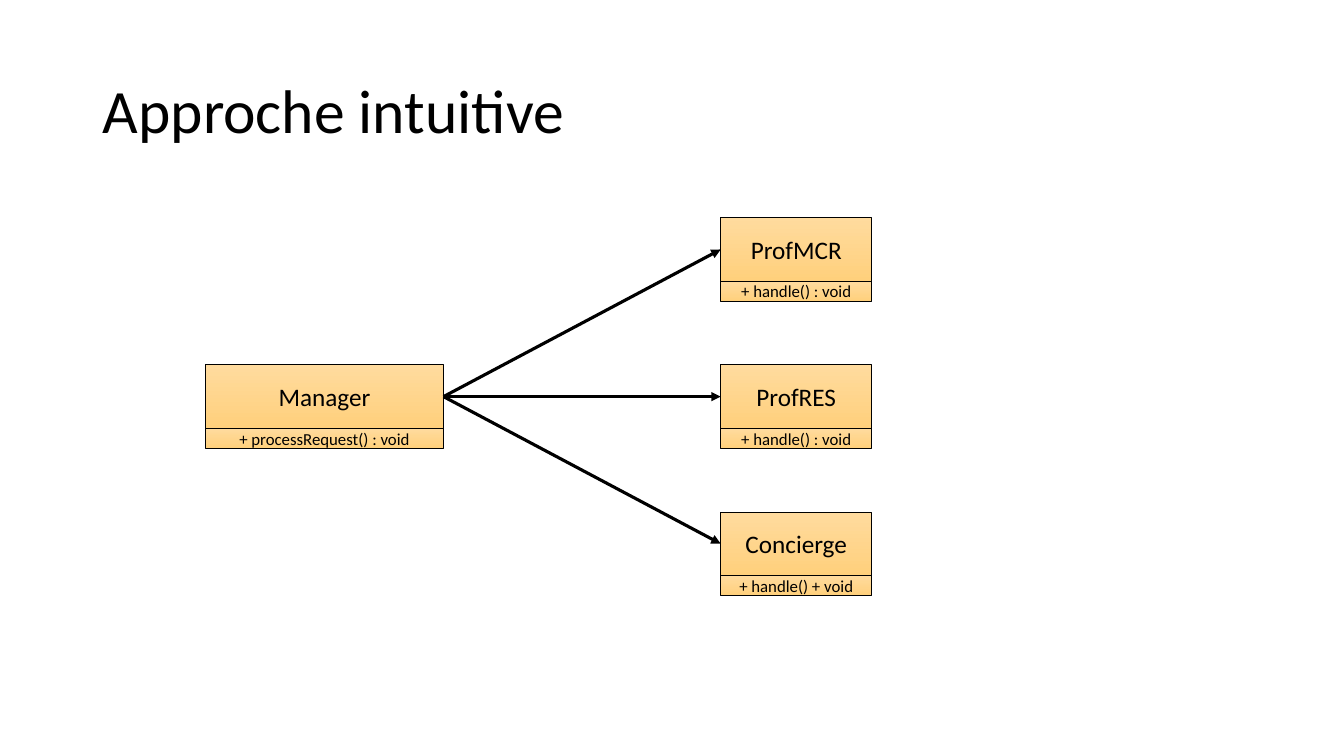
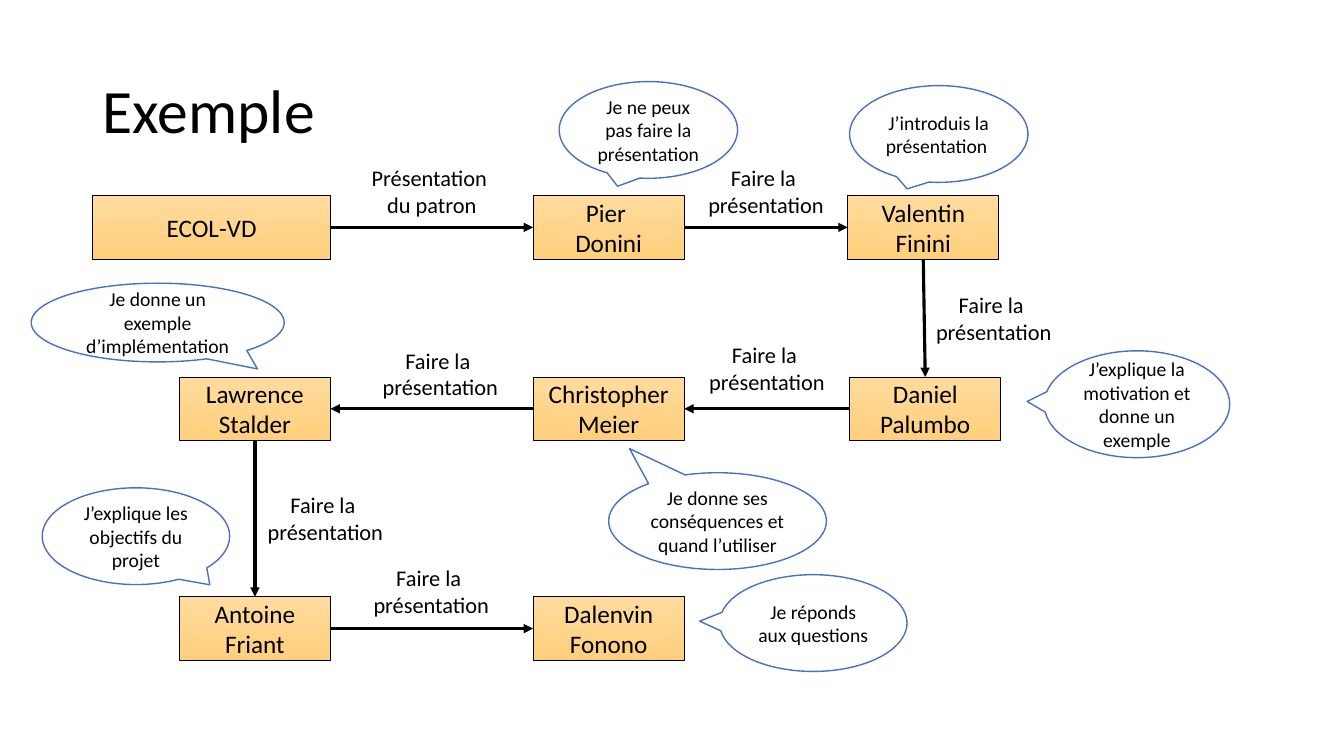
from typing import NamedTuple, Optional

from lxml import etree
from pptx import Presentation
from pptx.dml.color import RGBColor
from pptx.enum import shapes, text
from pptx.oxml import ns
from pptx.util import Pt

BLACK = RGBColor(0x00, 0x00, 0x00)
WHITE = RGBColor(0xFF, 0xFF, 0xFF)
BLUE = RGBColor(0x44, 0x72, 0xC4)
LIGHT_ORANGE = RGBColor(0xFF, 0xDB, 0x9E)
ORANGE = RGBColor(0xFF, 0xD0, 0x7C)

FONT = "Calibri"
TITLE_BOX = (66.2, 28.8, 828, 104.4)
WIDE, NARROW = 169.9, 108
NAME_HEIGHT, METHOD_HEIGHT = 45.4, 14.4
TOP, LEFT, BOTTOM, RIGHT = range(4)


class Bubble(NamedTuple):
    """Speech bubble, placed from the corner of its speaker."""
    words: str
    box: tuple
    tip: tuple


class Handler(NamedTuple):
    """One link of the chain, with the request it passes on."""
    name: str
    box: tuple
    bubble: Optional[Bubble] = None
    exit_side: Optional[int] = None
    request_at: tuple = ()
    request: str = "Faire la \nprésentation"
    request_width: float = 97.9


ASSOCIATIONS = [
    ("ProfMCR", "+ handle() : void"),
    ("ProfRES", "+ handle() : void"),
    ("Concierge", "+ handle() + void"),
]

CHAIN = [
    Handler("ECOL-VD", (0, 0, WIDE), None, RIGHT, (191.5, -25.9),
            "Présentation \ndu patron", 101.5),
    Handler("Pier \nDonini", (314.6, 0, NARROW),
            Bubble("Je ne peux pas faire la présentation",
                   (18.7, -81.4, 127.4, 69.1), (-0.173, 0.582)),
            RIGHT, (117.4, -25.9)),
    Handler("Valentin Finini", (539.3, 0, NARROW),
            Bubble("J’introduis la présentation ",
                   (1.4, -78.5, 127.4, 69.1), (-0.177, 0.567)),
            BOTTOM, (55.4, 64.8)),
    Handler("Daniel Palumbo", (540.7, 129.6, NARROW),
            Bubble("J’explique la motivation et donne un exemple",
                   (139, -18.7, 132.5, 76.3), (-0.592, -0.026)),
            LEFT, (-108, -28.8)),
    Handler("Christopher Meier", (314.6, 129.6, NARROW),
            Bubble("Je donne ses conséquences et quand l’utiliser",
                   (54, 68.4, 155.5, 69.1), (-0.404, -0.749)),
            LEFT, (-115.2, -25.2)),
    Handler("Lawrence Stalder", (61.9, 129.6, NARROW),
            Bubble("Je donne un exemple d’implémentation",
                   (-105.8, -67, 180.7, 56.2), (0.394, 0.589)),
            BOTTOM, (55.4, 77.8)),
    Handler("Antoine Friant", (61.9, 286.6, NARROW),
            Bubble("J’explique les objectifs du projet",
                   (-97.9, -77.8, 133.9, 69.1), (0.394, 0.502)),
            RIGHT, (131, -26.6)),
    Handler("Dalenvin Fonono", (314.6, 286.6, NARROW),
            Bubble("Je réponds aux questions",
                   (133.2, -15.8, 133.9, 69.1), (-0.606, -0.019))),
]


def set_all(target, formats):
    """Set each named attribute of the target."""
    for name, value in formats.items():
        setattr(target, name, value)


def points(box):
    """Turn a box of plain numbers into lengths."""
    return [Pt(length) for length in box]


def write(shape, words, size, align=text.PP_ALIGN.CENTER, spacing=1.0):
    """Fill a shape with evenly formatted paragraphs."""
    shape.text_frame.text = words
    for paragraph in shape.text_frame.paragraphs:
        set_all(paragraph, {"alignment": align, "line_spacing": spacing})
        for run in paragraph.runs:
            set_all(run.font, {"name": FONT, "size": Pt(size)})
            run.font.color.rgb = BLACK


def add_title(slide, words):
    """Place and format the slide title."""
    title = slide.shapes.title
    set_all(title, dict(zip(("left", "top", "width", "height"),
                            points(TITLE_BOX))))
    set_all(title.text_frame, {
        "word_wrap": True,
        "auto_size": text.MSO_AUTO_SIZE.NONE,
        "vertical_anchor": text.MSO_ANCHOR.MIDDLE,
    })
    write(title, words, 44, text.PP_ALIGN.LEFT, 0.9)


def add_outlined(slide, preset, box, color, width):
    """Add a preset shape with an outline and no shadow."""
    shape = slide.shapes.add_shape(preset, *points(box))
    shape.shadow.inherit = False
    shape.line.color.rgb = color
    shape.line.width = Pt(width)
    return shape


def add_block(slide, box, words, size=18):
    """Add an orange gradient rectangle with centred text."""
    block = add_outlined(slide, shapes.MSO_SHAPE.RECTANGLE, box, BLACK, 0.5)
    block.fill.gradient()
    block.fill.gradient_angle = 270
    for stop, color in zip(block.fill.gradient_stops, (LIGHT_ORANGE, ORANGE)):
        stop.color.rgb = color
    write(block, words, size)
    return block


def add_class(slide, box, name, method):
    """Add a class with its method below and return the name block."""
    left, top, width = box
    add_block(slide, (left, top + NAME_HEIGHT, width, METHOD_HEIGHT),
              method, 12)
    return add_block(slide, (left, top, width, NAME_HEIGHT), name)


def add_arrow(slide, sender, receiver, exit_side):
    """Join two blocks, entering on the side opposite to the exit."""
    arrow = slide.shapes.add_connector(shapes.MSO_CONNECTOR.STRAIGHT,
                                       0, 0, 0, 0)
    arrow.begin_connect(sender, exit_side)
    arrow.end_connect(receiver, (exit_side + 2) % 4)
    arrow.line.color.rgb = BLACK
    arrow.line.width = Pt(2.25)
    etree.SubElement(arrow.line._get_or_add_ln(), ns.qn("a:tailEnd"),
                     type="triangle")
    etree.SubElement(arrow._element.spPr, ns.qn("a:effectLst"))


def add_bubble(slide, left, top, bubble):
    """Add a speech bubble beside the speaker's corner."""
    dx, dy, width, height = bubble.box
    shape = add_outlined(slide, shapes.MSO_SHAPE.OVAL_CALLOUT,
                         (left + dx, top + dy, width, height), BLUE, 1)
    for index, offset in enumerate(bubble.tip):
        shape.adjustments[index] = offset
    shape.fill.solid()
    shape.fill.fore_color.rgb = WHITE
    write(shape, bubble.words, 14)


def add_request(slide, left, top, handler):
    """Label the arrow that leaves a handler."""
    dx, dy = handler.request_at
    request = slide.shapes.add_textbox(
        *points((left + dx, top + dy, handler.request_width, 46.1)))
    set_all(request.text_frame, {
        "word_wrap": False,
        "auto_size": text.MSO_AUTO_SIZE.SHAPE_TO_FIT_TEXT,
    })
    write(request, handler.request, 16)


def class_diagram(slide, box):
    """Draw the manager on the left and its classes on the right."""
    left, top, width, height = box
    pitch = (height - NAME_HEIGHT - METHOD_HEIGHT) / (len(ASSOCIATIONS) - 1)
    manager = add_class(slide, (left, top + pitch, WIDE),
                        "Manager", "+ processRequest() : void")
    for row, (name, method) in enumerate(ASSOCIATIONS):
        target = add_class(
            slide, (left + width - NARROW, top + row * pitch, NARROW),
            name, method)
        add_arrow(slide, manager, target, RIGHT)


def handler_chain(slide, origin):
    """Draw the handlers, their bubbles and the requests between them."""
    blocks = []
    for handler in CHAIN:
        dx, dy, width = handler.box
        left, top = origin[0] + dx, origin[1] + dy
        blocks.append(add_block(slide, (left, top, width, NAME_HEIGHT),
                                handler.name))
        if handler.bubble:
            add_bubble(slide, left, top, handler.bubble)
        if handler.request_at:
            add_request(slide, left, top, handler)
    for handler, sender, receiver in zip(CHAIN, blocks, blocks[1:]):
        add_arrow(slide, sender, receiver, handler.exit_side)


def main():
    """Build and save the presentation."""
    deck = Presentation()
    set_all(deck, {"slide_width": Pt(960), "slide_height": Pt(540)})
    title_only = deck.slide_layouts[5]
    for title, draw, box in (
        ("Approche intuitive", class_diagram, (146.9, 155.5, 475.9, 270)),
        ("Exemple", handler_chain, (66.2, 139.7)),
    ):
        slide = deck.slides.add_slide(title_only)
        add_title(slide, title)
        draw(slide, box)
    deck.save("out.pptx")


main()
